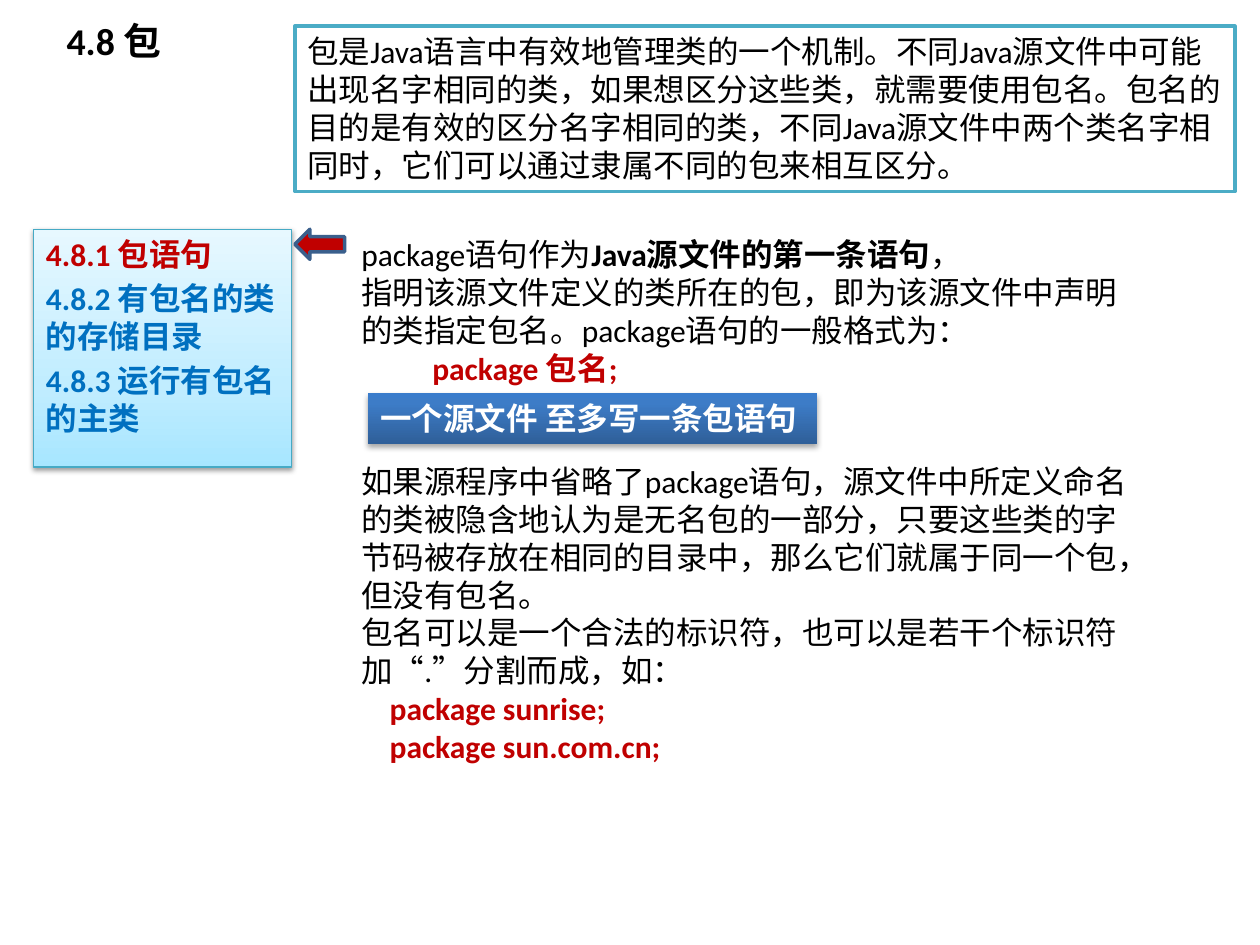
from lxml import etree
from pptx import Presentation
from pptx.dml.color import RGBColor
from pptx.enum.shapes import MSO_SHAPE
from pptx.enum.text import MSO_ANCHOR, MSO_AUTO_SIZE, PP_ALIGN
from pptx.oxml.ns import qn
from pptx.util import Pt

RECTANGLE = MSO_SHAPE.RECTANGLE
LEFT_ARROW = MSO_SHAPE.LEFT_ARROW
TOP = MSO_ANCHOR.TOP
LEFT = PP_ALIGN.LEFT
GROW = MSO_AUTO_SIZE.SHAPE_TO_FIT_TEXT

BLACK, WHITE, RED, BLUE = "000000", "FFFFFF", "C00000", "0070C0"
TEAL, LINE_HEIGHT = "4BACC6", 21.6


def color(value):
    return RGBColor.from_string(value)


def add_child(parent, tag, **attributes):
    child = etree.SubElement(parent, qn(tag))
    for name, value in attributes.items():
        child.set(name, str(value))
    return child


def write(frame, text, size=18, ink=BLACK, bold=False, before=0, indent=0, new=True):
    """Add text as a new paragraph, or as a further span of the last one."""
    para = frame.paragraphs[-1]
    if new and para.runs:
        para = frame.add_paragraph()
    if new:
        para.alignment = LEFT
        para.space_before = Pt(before)
        if indent:
            para._p.get_or_add_pPr().set("marL", str(Pt(indent)))
    span = para.add_run()
    span.text = text
    span.font.name = "Calibri"
    span.font.size = Pt(size)
    span.font.bold = bold
    span.font.color.rgb = color(ink)


class SlideBuilder:
    def __init__(self, page):
        self.page = page

    def prepare(self, frame, wrap=True, grow=False):
        frame.word_wrap = wrap
        frame.vertical_anchor = TOP
        if grow:
            frame.auto_size = GROW
        return frame

    def text_box(self, left, top, width, height, grow=False):
        box = self.page.shapes.add_textbox(Pt(left), Pt(top), Pt(width), Pt(height))
        return self.prepare(box.text_frame, grow=grow)

    def shape(self, kind, left, top, width, height, fill=None, line=None, weight=2):
        shape = self.page.shapes.add_shape(kind, Pt(left), Pt(top), Pt(width), Pt(height))
        shape.shadow.inherit = False
        if fill:
            shape.fill.solid()
            shape.fill.fore_color.rgb = color(fill)
        if line:
            shape.line.color.rgb = color(line)
            shape.line.width = Pt(weight)
        else:
            shape.line.fill.background()
        return shape

    def gradient(self, shape, stops):
        """Fill upwards with (percent, colour) stops."""
        shape.fill.gradient()
        shape.fill.gradient_angle = 90
        stop_list = shape.element.spPr.find(".//" + qn("a:gsLst"))
        for old in list(stop_list):
            stop_list.remove(old)
        for percent, value in stops:
            stop = add_child(stop_list, "a:gs", pos=percent * 1000)
            add_child(stop, "a:srgbClr", val=value)

    def drop_shadow(self, shape, distance, opacity):
        effects = shape.element.spPr.find(qn("a:effectLst"))
        shadow = add_child(effects, "a:outerShdw", blurRad=Pt(3.1), dist=Pt(distance),
                           dir=5400000, rotWithShape=0)
        ink = add_child(shadow, "a:srgbClr", val=BLACK)
        add_child(ink, "a:alpha", val=opacity * 1000)


def main():
    deck = Presentation()
    deck.slide_width, deck.slide_height = Pt(720), Pt(540)
    builder = SlideBuilder(deck.slides.add_slide(deck.slide_layouts[6]))

    title = builder.text_box(31, 1.4, 233.3, 91.4)
    title.margin_top = Pt(9)
    write(title, "4.8 包", size=21.6, bold=True)

    contents = builder.shape(RECTANGLE, 19.2, 131, 147.6, 136, line="46AAC5", weight=0.75)
    builder.gradient(contents, [(0, "A7E6FF"), (35, "C1EDFF"), (100, "E7F8FF")])
    builder.drop_shadow(contents, 1.6, 38)
    frame = builder.prepare(contents.text_frame)
    write(frame, "4.8.1 包语句", ink=RED, bold=True)
    for entry in ("4.8.2 有包名的类的存储目录", "4.8.3 运行有包名的主类"):
        write(frame, entry, ink=BLUE, bold=True, before=3.6)

    builder.shape(LEFT_ARROW, 168.5, 131, 28.4, 17.2, fill=RED, line="3A5F8C")

    intro = builder.shape(RECTANGLE, 168.5, 15, 537.2, 94.5, fill=WHITE, line=TEAL)
    write(builder.prepare(intro.text_frame, grow=True),
          "包是Java语言中有效地管理类的一个机制。不同Java源文件中可能出现名字相同的类，"
          "如果想区分这些类，就需要使用包名。包名的目的是有效的区分名字相同的类，"
          "不同Java源文件中两个类名字相同时，它们可以通过隶属不同的包来相互区分。")

    body = builder.text_box(199.4, 131, 460.8, 312.5, grow=True)
    write(body, "package语句作为")
    write(body, "Java源文件的第一条语句", bold=True, new=False)
    write(body, "，", new=False)
    write(body, "指明该源文件定义的类所在的包，即为该源文件中声明的类指定包名。"
                "package语句的一般格式为：")
    write(body, "package 包名;", ink=RED, bold=True, indent=40.6)
    write(body, "如果源程序中省略了package语句，源文件中所定义命名的类被隐含地认为是"
                "无名包的一部分，只要这些类的字节码被存放在相同的目录中，"
                "那么它们就属于同一个包，但没有包名。", before=2 * LINE_HEIGHT)
    write(body, "包名可以是一个合法的标识符，也可以是若干个标识符加“.”分割而成，如：")
    for example in ("package sunrise;", "package sun.com.cn;"):
        write(body, example, ink=RED, bold=True, indent=16.2)

    banner = builder.shape(RECTANGLE, 210.3, 224.6, 256.5, 29)
    builder.gradient(banner, [(0, "2F5F99"), (80, "3D7CC7"), (100, "3A7CCB")])
    builder.drop_shadow(banner, 1.8, 35)
    write(builder.prepare(banner.text_frame, wrap=False, grow=True),
          "一个源文件 至多写一条包语句", ink=WHITE, bold=True)

    deck.save("out.pptx")


if __name__ == "__main__":
    main()
